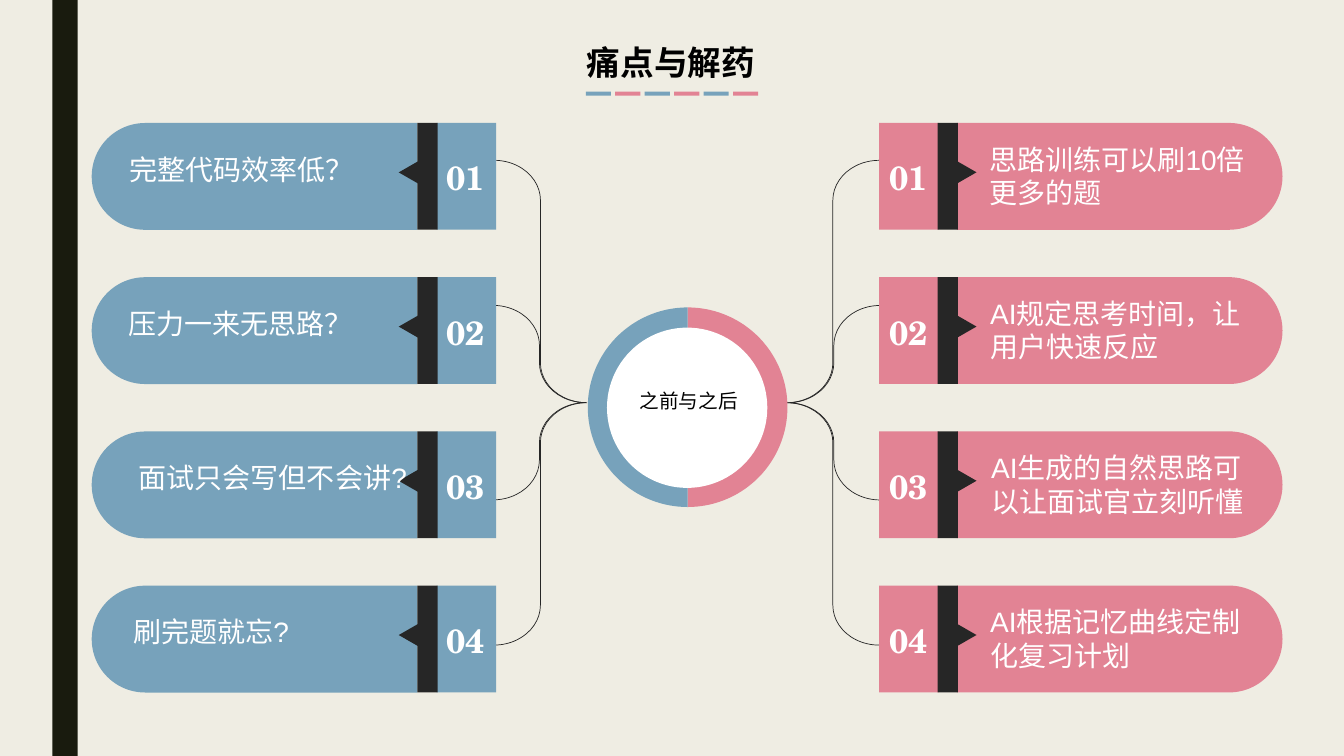
from dataclasses import dataclass
from math import cos, pi, sin

from pptx import Presentation
from pptx.dml.color import RGBColor
from pptx.enum.shapes import MSO_SHAPE as Preset
from pptx.enum.text import MSO_ANCHOR as Anchor, MSO_AUTO_SIZE as AutoSize, PP_ALIGN as Align
from pptx.shapes.autoshape import Shape
from pptx.slide import Slide
from pptx.util import Inches, Pt

COLORS = {"background": "EFEDE3", "band": "191B0E", "dark": "262626",
          "blue": "77A2BB", "pink": "E28394", "white": "FFFFFF", "black": "000000"}
SANS, SERIF = "Arial", "TeX Gyre Schola"
FIRST_ROW, ROW_STEP, CARD_HEIGHT = 1.22, 1.53, 1.06
RING_X, RING_Y, RING_RADIUS = 6.82, 4.04, 0.99


@dataclass
class Card:
    text: str
    text_left: float
    font: str = SANS
    align: Align = Align.LEFT


@dataclass
class Side:
    """One column of cards, with the left edge of each part."""
    color: str
    rotation: int
    pill: float
    number_block: float
    strip: float
    pointer: float
    number: float
    text_offset: float
    text_height: float
    cards: list[Card]


@dataclass
class Brace:
    left: float
    top: float
    height: float
    rotation: int


SIDES = [
    Side("pink", 90, 9.49, 8.72, 9.3, 9.47, 8.52, 0.19, 0.67, [
        Card("思路训练可以刷10倍更多的题", 9.81),
        Card("AI规定思考时间，让用户快速反应", 9.82),
        Card("AI生成的自然思路可以让面试官立刻听懂", 9.83),
        Card("AI根据记忆曲线定制化复习计划", 9.82)]),
    Side("blue", 270, 0.91, 4.33, 4.14, 3.94, 4.12, 0.29, 0.34, [
        Card("完整代码效率低？", 1.28),
        Card("压力一来无思路？", 1.27, "Lato"),
        Card("面试只会写但不会讲?", 1.29, align=Align.RIGHT),
        Card("刷完题就忘?", 1.32)]),
]
BRACES = [Brace(4.9, 1.59, 4.81, 0), Brace(4.89, 3.03, 1.93, 0),
          Brace(7.8, 1.59, 4.81, 180), Brace(7.81, 3.03, 1.93, 180)]


def rgb(name: str) -> RGBColor:
    return RGBColor.from_string(COLORS[name])


def paint(shape: Shape, color: str) -> None:
    shape.shadow.inherit = False
    shape.fill.solid()
    shape.fill.fore_color.rgb = rgb(color)
    shape.line.fill.background()


def add_block(page: Slide, preset: Preset, left: float, top: float, width: float,
              height: float, color: str, rotation: int = 0) -> Shape:
    shape = page.shapes.add_shape(preset, Inches(left), Inches(top), Inches(width), Inches(height))
    paint(shape, color)
    shape.rotation = rotation
    return shape


def write(box: Shape, text: str, size: int, font: str, color: str, align: Align,
          bold: bool = False, padding: float = 0) -> None:
    frame = box.text_frame
    frame.word_wrap = True
    frame.auto_size = AutoSize.SHAPE_TO_FIT_TEXT
    frame.vertical_anchor = Anchor.TOP
    frame.margin_left = frame.margin_right = 0
    frame.margin_top = frame.margin_bottom = Inches(padding)
    para = frame.paragraphs[0]
    para.alignment = align
    # Closing punctuation may hang past the edge
    para._p.get_or_add_pPr().set("hangingPunct", "1")
    span = para.add_run()
    span.text = text
    span.font.size = Pt(size)
    span.font.name = font
    span.font.bold = bold
    span.font.color.rgb = rgb(color)


def add_text_box(page: Slide, left: float, top: float, width: float, height: float) -> Shape:
    return page.shapes.add_textbox(Inches(left), Inches(top), Inches(width), Inches(height))


def add_brace(page: Slide, brace: Brace) -> None:
    shape = page.shapes.add_shape(Preset.RIGHT_BRACE, Inches(brace.left), Inches(brace.top),
                                  Inches(0.92), Inches(brace.height))
    shape.adjustments[0] = 0.431
    shape.rotation = brace.rotation
    shape.shadow.inherit = False
    shape.fill.background()
    shape.line.color.rgb = rgb("dark")
    shape.line.width = Pt(0.5)


def add_half_disc(page: Slide, direction: int, color: str) -> None:
    steps = 90
    points = [(Inches(RING_X + direction * RING_RADIUS * sin(pi * i / steps)),
               Inches(RING_Y - RING_RADIUS * cos(pi * i / steps))) for i in range(steps + 1)]
    builder = page.shapes.build_freeform(*points[0])
    builder.add_line_segments(points[1:], close=True)
    paint(builder.convert_to_shape(), color)


def add_card(page: Slide, side: Side, row: int, card: Card) -> None:
    top = FIRST_ROW + row * ROW_STEP
    # The pill is an upright shape turned on its side
    length = 3.23
    shift = (length - CARD_HEIGHT) / 2
    pill = add_block(page, Preset.ROUND_2_SAME_RECTANGLE, side.pill + shift, top - shift,
                     CARD_HEIGHT, length, side.color, side.rotation)
    pill.adjustments[0] = 0.5
    add_block(page, Preset.RECTANGLE, side.number_block, top, 0.59, CARD_HEIGHT, side.color)
    add_block(page, Preset.RECTANGLE, side.strip, top, 0.2, CARD_HEIGHT, "dark")
    add_block(page, Preset.ISOSCELES_TRIANGLE, side.pointer, top + 0.39, 0.23, 0.2,
              "dark", side.rotation)
    box = add_text_box(page, card.text_left, top + side.text_offset, 2.59, side.text_height)
    write(box, card.text, 20, card.font, "white", card.align)
    box = add_text_box(page, side.number, top + 0.29, 0.99, 0.49)
    write(box, f"{row + 1:02}", 24, SERIF, "white", Align.CENTER, bold=True, padding=0.05)


def main() -> None:
    deck = Presentation()
    deck.slide_width, deck.slide_height = Inches(13.33), Inches(7.5)
    page = deck.slides.add_slide(deck.slide_layouts[5])
    page.background.fill.solid()
    page.background.fill.fore_color.rgb = rgb("background")
    add_block(page, Preset.RECTANGLE, 0.52, 0, 0.25, 7.5, "band")

    # Title and its dashed underline
    title = page.shapes.title
    title.left, title.top = Inches(5.08), Inches(0.42)
    title.width, title.height = Inches(3.15), Inches(0.4)
    write(title, "痛点与解药", 24, SANS, "black", Align.CENTER, bold=True)
    for i in range(6):
        add_block(page, Preset.RECTANGLE, 5.81 + i * 0.292, 0.91, 0.25, 0.04,
                  ("blue", "pink")[i % 2])

    # Braces and central ring
    for brace in BRACES:
        add_brace(page, brace)
    add_half_disc(page, 1, "pink")
    add_half_disc(page, -1, "blue")
    add_block(page, Preset.OVAL, 6.02, 3.25, 1.59, 1.59, "white")
    label = add_text_box(page, 6.24, 3.81, 1.18, 0.34)
    write(label, "之前与之后", 14, SERIF, "black", Align.CENTER, padding=0.05)

    # Cards on both sides
    for side in SIDES:
        for row, card in enumerate(side.cards):
            add_card(page, side, row, card)

    deck.save("out.pptx")


if __name__ == "__main__":
    main()
